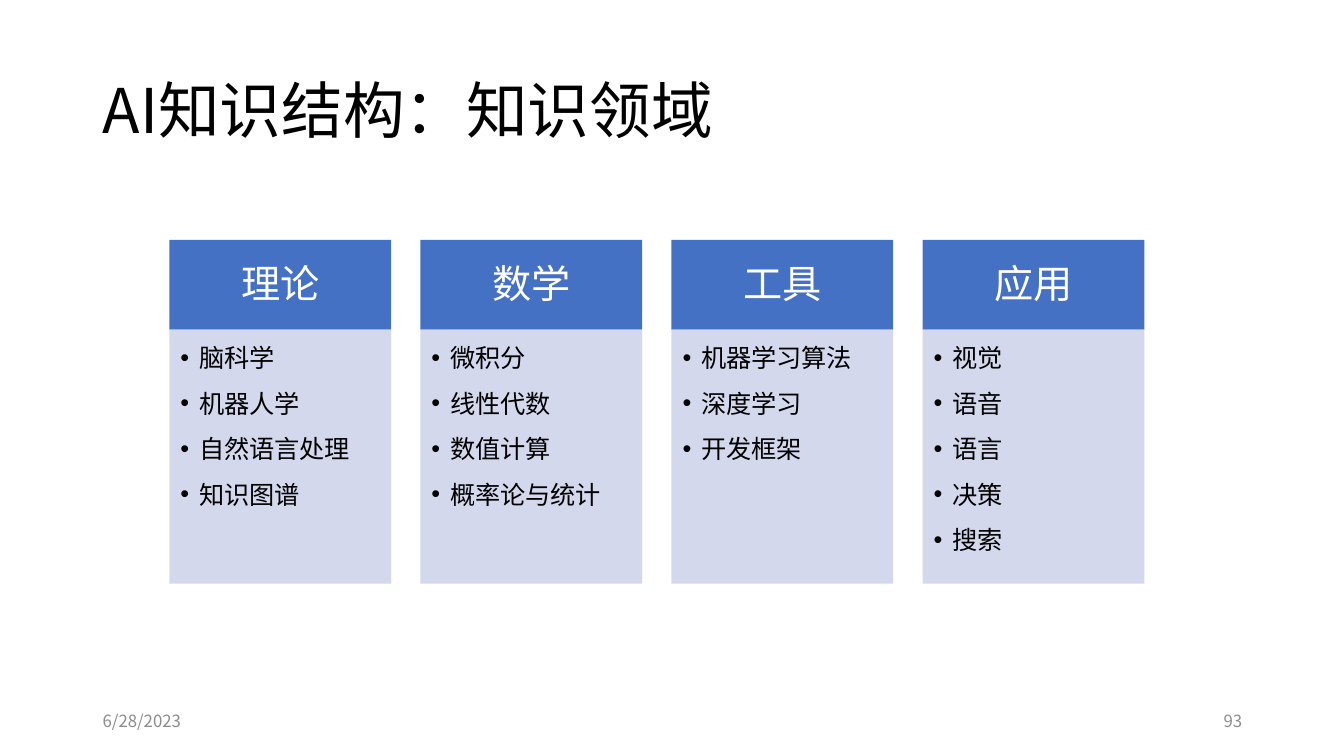
from lxml.etree import SubElement
from pptx import Presentation
from pptx.dml.color import RGBColor
from pptx.enum.shapes import MSO_SHAPE as Shape
from pptx.enum.text import MSO_ANCHOR as Anchor, PP_ALIGN as Align
from pptx.oxml.ns import qn
from pptx.util import Inches, Pt

FONT = "Noto Sans CJK SC"
COLORS = {
    "header": "4471C4",
    "panel": "CFD4EA",
    "white": "FFFFFF",
    "black": "000000",
    "footer": "8C8C8C",
}
DOMAINS = {
    "理论": ["脑科学", "机器人学", "自然语言处理", "知识图谱"],
    "数学": ["微积分", "线性代数", "数值计算", "概率论与统计"],
    "工具": ["机器学习算法", "深度学习", "开发框架"],
    "应用": ["视觉", "语音", "语言", "决策", "搜索"],
}
COLUMN_LEFT, COLUMN_WIDTH, COLUMN_PITCH = 1.68, 2.2, 2.49
HEADER_TOP, HEADER_HEIGHT, PANEL_HEIGHT = 2.38, 0.89, 2.52
MARGIN, FOOTER_TOP, FOOTER_WIDTH, FOOTER_HEIGHT = 0.92, 6.95, 3, 0.4


def write(shape, lines, size, color, align=Align.LEFT, anchor=Anchor.MIDDLE,
          insets=(0.1, 0.05, 0.1, 0.05), line_spacing=None, space_before=0,
          tracking=0, bullet=False):
    """Fill a shape with one paragraph per line; insets are left, top, right, bottom."""
    frame = shape.text_frame
    frame.word_wrap = True
    frame.vertical_anchor = anchor
    (frame.margin_left, frame.margin_top,
     frame.margin_right, frame.margin_bottom) = map(Inches, insets)
    for index, line in enumerate(lines):
        paragraph = frame.add_paragraph() if index else frame.paragraphs[0]
        paragraph.alignment = align
        if line_spacing:
            paragraph.line_spacing = line_spacing
        if index:
            paragraph.space_before = Pt(space_before)
        if bullet:
            properties = paragraph._p.get_or_add_pPr()
            properties.set("marL", str(Inches(0.3)))
            properties.set("indent", str(Inches(-0.19)))
            SubElement(properties, qn("a:buFont"), typeface="Arial")
            SubElement(properties, qn("a:buChar"), char="•")
        run = paragraph.add_run()
        run.text = line
        run.font.size = Pt(size)
        run.font.name = FONT
        run.font.color.rgb = RGBColor.from_string(COLORS[color])
        run_properties = run._r.get_or_add_rPr()
        SubElement(run_properties, qn("a:ea"), typeface=FONT)
        if tracking:
            run_properties.set("spc", str(round(tracking * 100)))


def add_block(left, top, width, height, color):
    shape = slide.shapes.add_shape(
        Shape.RECTANGLE, *map(Inches, (left, top, width, height)))
    shape.shadow.inherit = False
    shape.fill.solid()
    shape.fill.fore_color.rgb = RGBColor.from_string(COLORS[color])
    shape.line.fill.background()
    return shape


presentation = Presentation()
presentation.slide_width = Inches(13.33)
presentation.slide_height = Inches(7.5)
slide = presentation.slides.add_slide(presentation.slide_layouts[6])

title = slide.shapes.add_textbox(*map(Inches, (MARGIN, 0.4, 11.5, 1.45)))
write(title, ["AI知识结构：知识领域"], 44, "black", line_spacing=0.9)

for column, (domain, topics) in enumerate(DOMAINS.items()):
    left = COLUMN_LEFT + column * COLUMN_PITCH
    header = add_block(left, HEADER_TOP, COLUMN_WIDTH, HEADER_HEIGHT, "header")
    write(header, [domain], 28, "white", align=Align.CENTER, anchor=Anchor.TOP,
          insets=(0, 0.19, 0, 0), tracking=-0.2)

    panel = add_block(left, HEADER_TOP + HEADER_HEIGHT, COLUMN_WIDTH, PANEL_HEIGHT, "panel")
    panel_color = panel.fill._xPr.find(qn("a:solidFill"))[0]
    SubElement(panel_color, qn("a:alpha"), val="90000")
    write(panel, topics, 18, "black", anchor=Anchor.TOP, insets=(0, 0.13, 0, 0),
          space_before=10.8, tracking=-0.2, bullet=True)

footers = [
    ("6/28/2023", MARGIN, Align.LEFT),
    ("93", MARGIN + 11.5 - FOOTER_WIDTH, Align.RIGHT),
]
for text, left, align in footers:
    footer = slide.shapes.add_textbox(
        *map(Inches, (left, FOOTER_TOP, FOOTER_WIDTH, FOOTER_HEIGHT)))
    write(footer, [text], 12, "footer", align=align)

presentation.save("out.pptx")
